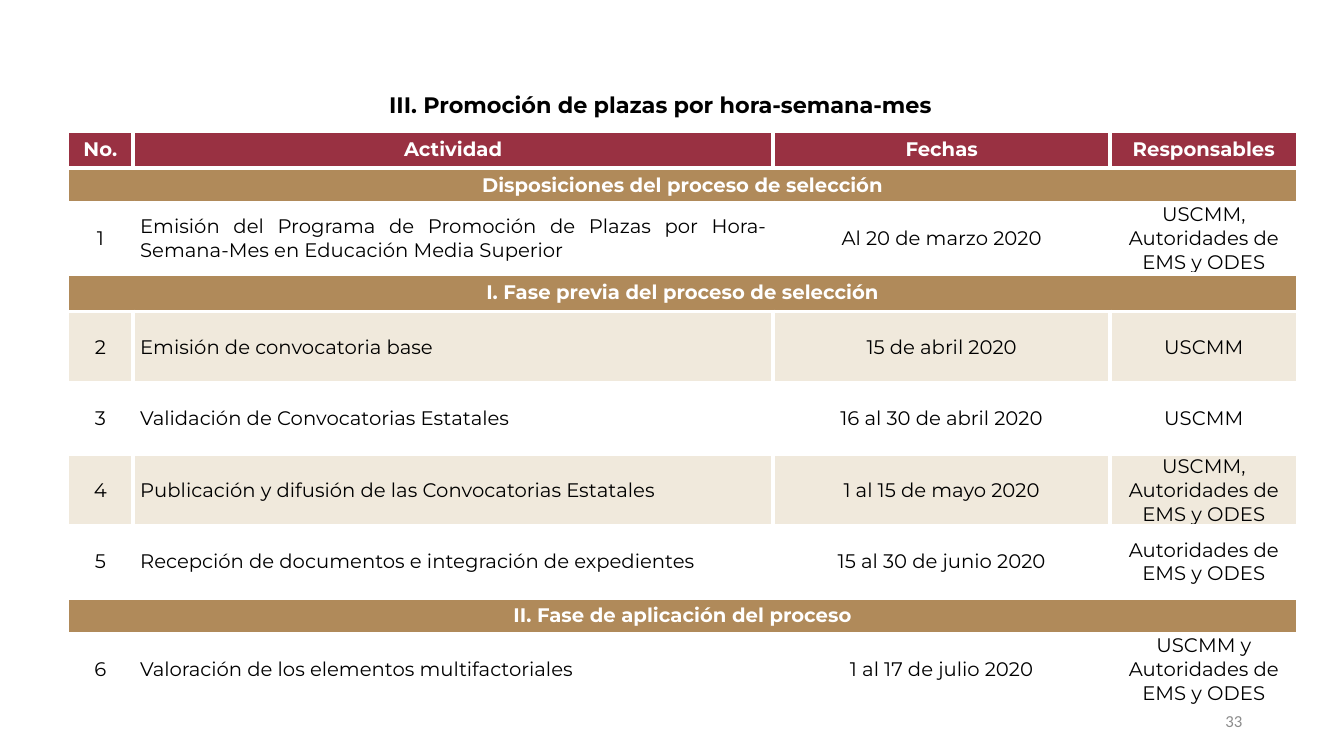
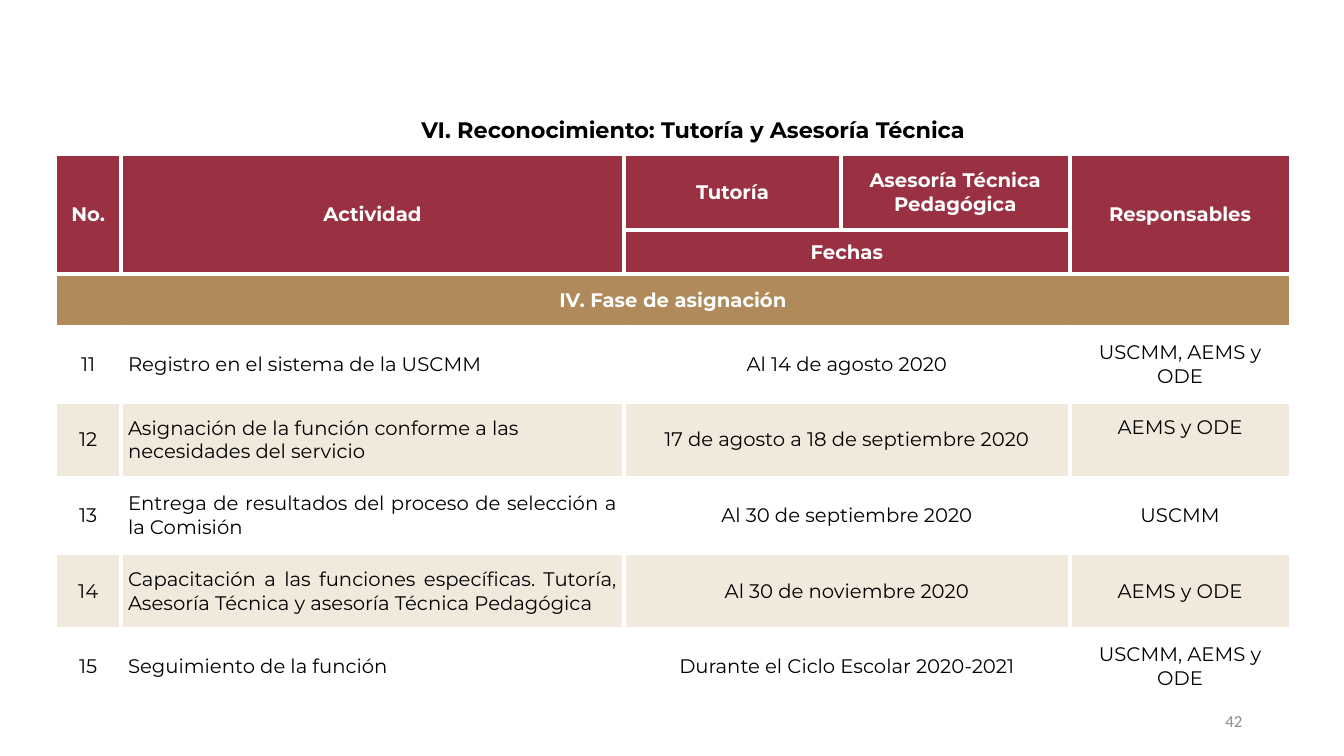
from lxml import etree
from pptx import Presentation
from pptx.dml.color import RGBColor
from pptx.enum.text import MSO_ANCHOR, MSO_AUTO_SIZE, PP_ALIGN
from pptx.oxml.ns import qn
from pptx.util import Emu, Pt

CENTER, JUSTIFY = PP_ALIGN.CENTER, PP_ALIGN.JUSTIFY
LEFT, RIGHT = PP_ALIGN.LEFT, PP_ALIGN.RIGHT
TOP, MIDDLE = MSO_ANCHOR.TOP, MSO_ANCHOR.MIDDLE
NO_AUTOSIZE = MSO_AUTO_SIZE.NONE
TITLE_ONLY = 5
PX = 9144  # 100 px to the inch

COLORS = {
    "wine": "993142", "gold": "B08A5A", "sand": "F0E9DC",
    "white": "FFFFFF", "black": "000000", "gray": "8C8C8C",
}
FONTS = {
    "title": ({"name": "Montserrat", "size": Pt(16), "bold": True}, "black"),
    "heading": ({"name": "Montserrat", "size": Pt(14), "bold": True}, "white"),
    "cell": ({"name": "Montserrat", "size": Pt(14), "bold": False}, "black"),
    "number": ({"name": "Calibri", "size": Pt(12), "bold": False}, "gray"),
}
# Cells that continue the one beside or over them
BESIDE, OVER = "<", "^"


def px(length):
    return Emu(length * PX)


def color(name):
    return RGBColor.from_string(COLORS[name])


class Schedule:
    """Deck of schedule pages: title, table and page number."""

    def __init__(self):
        self.deck = Presentation()
        self.deck.slide_width, self.deck.slide_height = px(1333), px(750)
        self.page = None

    def add_page(self, number):
        self.page = self.deck.slides.add_slide(self.deck.slide_layouts[TITLE_ONLY])
        box = self.page.shapes.add_textbox(px(942), px(695), px(300), px(40))
        self.fill_frame(box.text_frame, str(number), "number", RIGHT, MIDDLE)

    def fill_frame(self, frame, text, style, align, anchor):
        frame.word_wrap = True
        frame.auto_size = NO_AUTOSIZE
        frame.vertical_anchor = anchor
        self.format_para(frame.paragraphs[0], text, style, align)

    def format_para(self, para, text, style, align):
        para.alignment = align
        span = para.add_run()
        span.text = text
        values, color_name = FONTS[style]
        for name, value in values.items():
            setattr(span.font, name, value)
        span.font.color.rgb = color(color_name)

    def title(self, text, left, top):
        box = self.page.shapes.title
        place = {"left": left, "top": top, "width": 570, "height": 37}
        for name, value in place.items():
            setattr(box, name, px(value))
        self.fill_frame(box.text_frame, text, "title", LEFT, TOP)

    def table(self, left, top, widths, rows):
        """Each row is a height and its cells; a lone text is a full band."""
        table = self.page.shapes.add_table(
            len(rows), len(widths), px(left), px(top),
            px(sum(widths)), px(sum(height for height, _ in rows))).table
        table.first_row = table.horz_banding = False
        for column, width in zip(table.columns, widths):
            column.width = px(width)
        grid = []
        for row, (height, cells) in zip(table.rows, rows):
            row.height = px(height)
            is_band = isinstance(cells, str)
            grid.append((cells,) + (BESIDE,) * (len(widths) - 1) if is_band else cells)
            for cell in row.cells:
                self.paint(cell, self.row_fill(cells))
        for r, texts in enumerate(grid):
            is_activity = texts[0].isdigit()
            for c, text in enumerate(texts):
                if text in (BESIDE, OVER):
                    continue
                cell = table.cell(r, c)
                last_row, last_column = r, c
                while last_column + 1 < len(texts) and texts[last_column + 1] == BESIDE:
                    last_column += 1
                while last_row + 1 < len(grid) and grid[last_row + 1][c] == OVER:
                    last_row += 1
                if (last_row, last_column) != (r, c):
                    cell.merge(table.cell(last_row, last_column))
                self.format_para(
                    cell.text_frame.paragraphs[0], text,
                    "cell" if is_activity else "heading",
                    JUSTIFY if is_activity and c == 1 else CENTER)
        return table

    def row_fill(self, cells):
        if isinstance(cells, str):
            return "gold"
        if not cells[0].isdigit():
            return "wine"
        return "white" if int(cells[0]) % 2 or cells[0] == "6" else "sand"

    def paint(self, cell, fill):
        cell.vertical_anchor = MIDDLE
        cell.margin_left = cell.margin_right = px(7)
        cell.margin_top = cell.margin_bottom = 0
        # White borders go before the fill
        properties = cell._tc.get_or_add_tcPr()
        for side in ("lnL", "lnR", "lnT", "lnB"):
            line = etree.SubElement(properties, qn("a:" + side), w=str(Pt(3)))
            solid = etree.SubElement(line, qn("a:solidFill"))
            etree.SubElement(solid, qn("a:srgbClr"), val=COLORS["white"])
        cell.fill.solid()
        cell.fill.fore_color.rgb = color(fill)


def promotion_page(schedule):
    schedule.add_page(33)
    schedule.table(67, 130, (65, 635, 334, 186), (
        (37, ("No.", "Actividad", "Fechas", "Responsables")),
        (34, "Disposiciones del proceso de selección"),
        (71, ("1", "Emisión del Programa de Promoción de Plazas por "
              "Hora-Semana-Mes en Educación Media Superior",
              "Al 20 de marzo 2020", "USCMM, Autoridades de EMS y ODES")),
        (37, "I. Fase previa del proceso de selección"),
        (71, ("2", "Emisión de convocatoria base", "15 de abril 2020", "USCMM")),
        (71, ("3", "Validación de Convocatorias Estatales",
              "16 al 30 de abril 2020", "USCMM")),
        (71, ("4", "Publicación y difusión de las Convocatorias Estatales",
              "1 al 15 de mayo 2020", "USCMM, Autoridades de EMS y ODES")),
        (71, ("5", "Recepción de documentos e integración de expedientes",
              "15 al 30 de junio 2020", "Autoridades de EMS y ODES")),
        (36, "II. Fase de aplicación del proceso"),
        (71, ("6", "Valoración de los elementos multifactoriales",
              "1 al 17 de julio 2020", "USCMM y Autoridades de EMS y ODES")),
    ))
    schedule.title("III. Promoción de plazas por hora-semana-mes", 376, 85)


def recognition_page(schedule):
    schedule.add_page(42)
    table = schedule.table(55, 153, (65, 499, 215, 227, 219), (
        (75, ("No.", "Actividad", "Tutoría", "Asesoría Técnica Pedagógica",
              "Responsables")),
        (44, (OVER, OVER, "Fechas", BESIDE, OVER)),
        (52, "IV. Fase de asignación"),
        (75, ("11", "Registro en el sistema de la USCMM",
              "Al 14 de agosto 2020", BESIDE, "USCMM, AEMS y ODE")),
        (75, ("12", "Asignación de la función conforme a las necesidades del servicio",
              "17 de agosto a 18 de septiembre 2020", BESIDE, "AEMS y ODE")),
        (75, ("13", "Entrega de resultados del proceso de selección a la Comisión",
              "Al 30 de septiembre 2020", BESIDE, "USCMM")),
        (75, ("14", "Capacitación a las funciones específicas. Tutoría, "
              "Asesoría Técnica y asesoría Técnica Pedagógica",
              "Al 30 de noviembre 2020", BESIDE, "AEMS y ODE")),
        (75, ("15", "Seguimiento de la función",
              "Durante el Ciclo Escolar 2020-2021", BESIDE, "USCMM, AEMS y ODE")),
    ))
    # Activity 12 is ragged, and its last cell sits higher
    table.cell(4, 1).text_frame.paragraphs[0].alignment = LEFT
    table.cell(4, 4).margin_bottom = px(24)
    schedule.title("VI. Reconocimiento: Tutoría y Asesoría Técnica", 408, 110)


def main():
    schedule = Schedule()
    promotion_page(schedule)
    recognition_page(schedule)
    schedule.deck.save("out.pptx")


if __name__ == "__main__":
    main()
